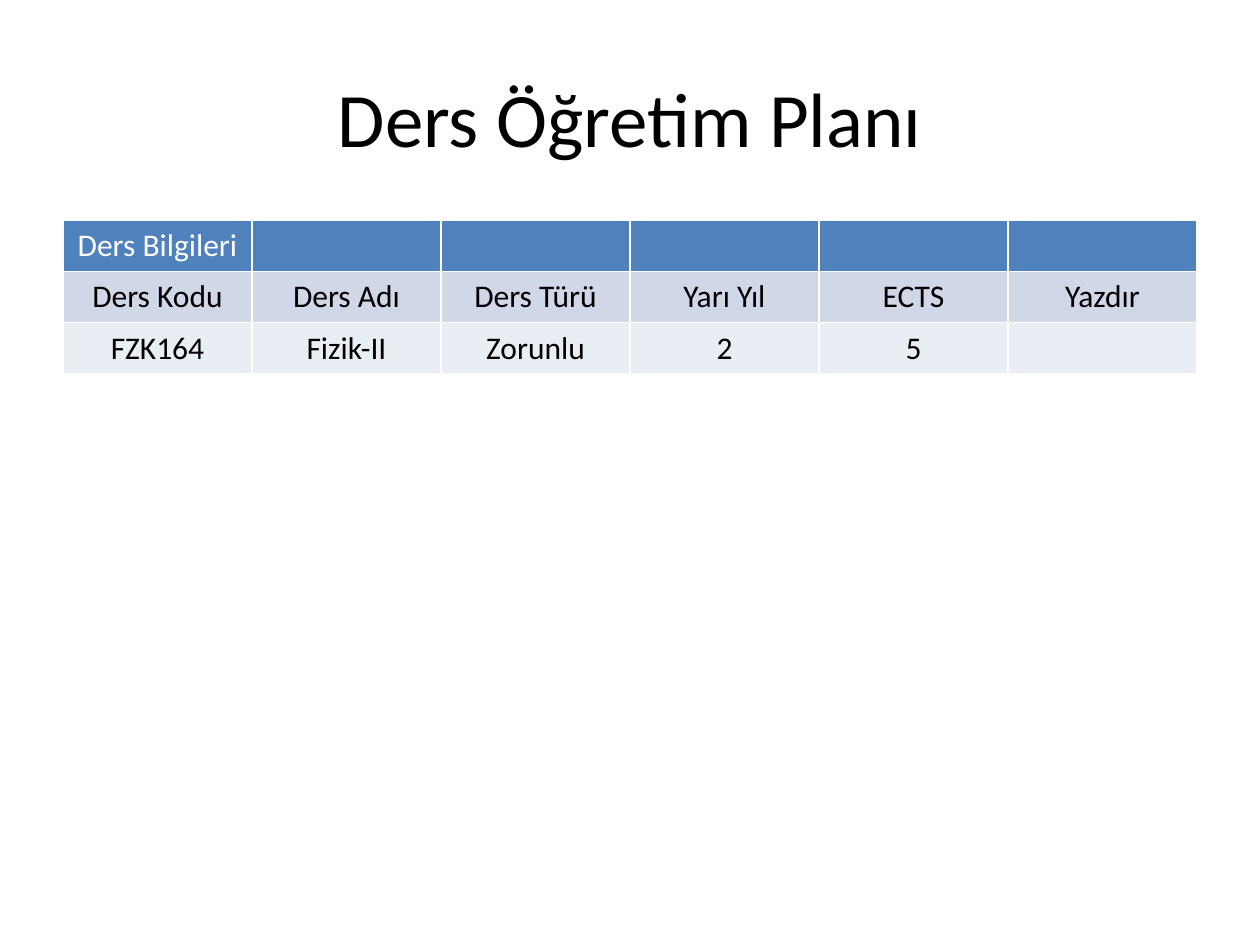
import pptx
import pptx.dml.color
import pptx.enum.text
import pptx.util

Pt = pptx.util.Pt


def rgb(value):
    """Return a colour from a hex string."""
    return pptx.dml.color.RGBColor.from_string(value)


def write(tf, text, size=18, color="000000", font="Calibri", bold=False):
    """Write one centred line of formatted text into a text frame."""
    p = tf.paragraphs[0]
    p.alignment = pptx.enum.text.PP_ALIGN.CENTER
    r = p.add_run()
    r.text = text
    r.font.name = font
    r.font.size = Pt(size)
    r.font.bold = bold
    r.font.color.rgb = rgb(color)


prs = pptx.Presentation()
prs.slide_width, prs.slide_height = Pt(720), Pt(540)
s = prs.slides.add_slide(prs.slide_layouts[6])

# Title
title = s.shapes.add_textbox(Pt(36), Pt(21.6), Pt(648), Pt(90))
tf = title.text_frame
tf.word_wrap = True
tf.vertical_anchor = pptx.enum.text.MSO_ANCHOR.MIDDLE
write(tf, "Ders Öğretim Planı", size=44)

# Course table: the default style supplies the white cell borders
rows = [
    ["Ders Bilgileri", "", "", "", "", ""],
    ["Ders Kodu", "Ders Adı", "Ders Türü", "Yarı Yıl", "ECTS", "Yazdır"],
    ["FZK164", "Fizik-II", "Zorunlu", "2", "5", ""],
]
row_styles = [("4F81BD", "FFFFFF"), ("D0D8E8", "000000"), ("E9EDF4", "000000")]
row_height = 29.2

sp = s.shapes.add_table(len(rows), len(rows[0]), Pt(36), Pt(126),
                        Pt(648), Pt(row_height * len(rows)))
table = sp.table
for i, (texts, (fill, color)) in enumerate(zip(rows, row_styles)):
    table.rows[i].height = Pt(row_height)
    for j, text in enumerate(texts):
        cell = table.cell(i, j)
        cell.fill.solid()
        cell.fill.fore_color.rgb = rgb(fill)
        if text:
            write(cell.text_frame, text, color=color)

prs.save("out.pptx")
